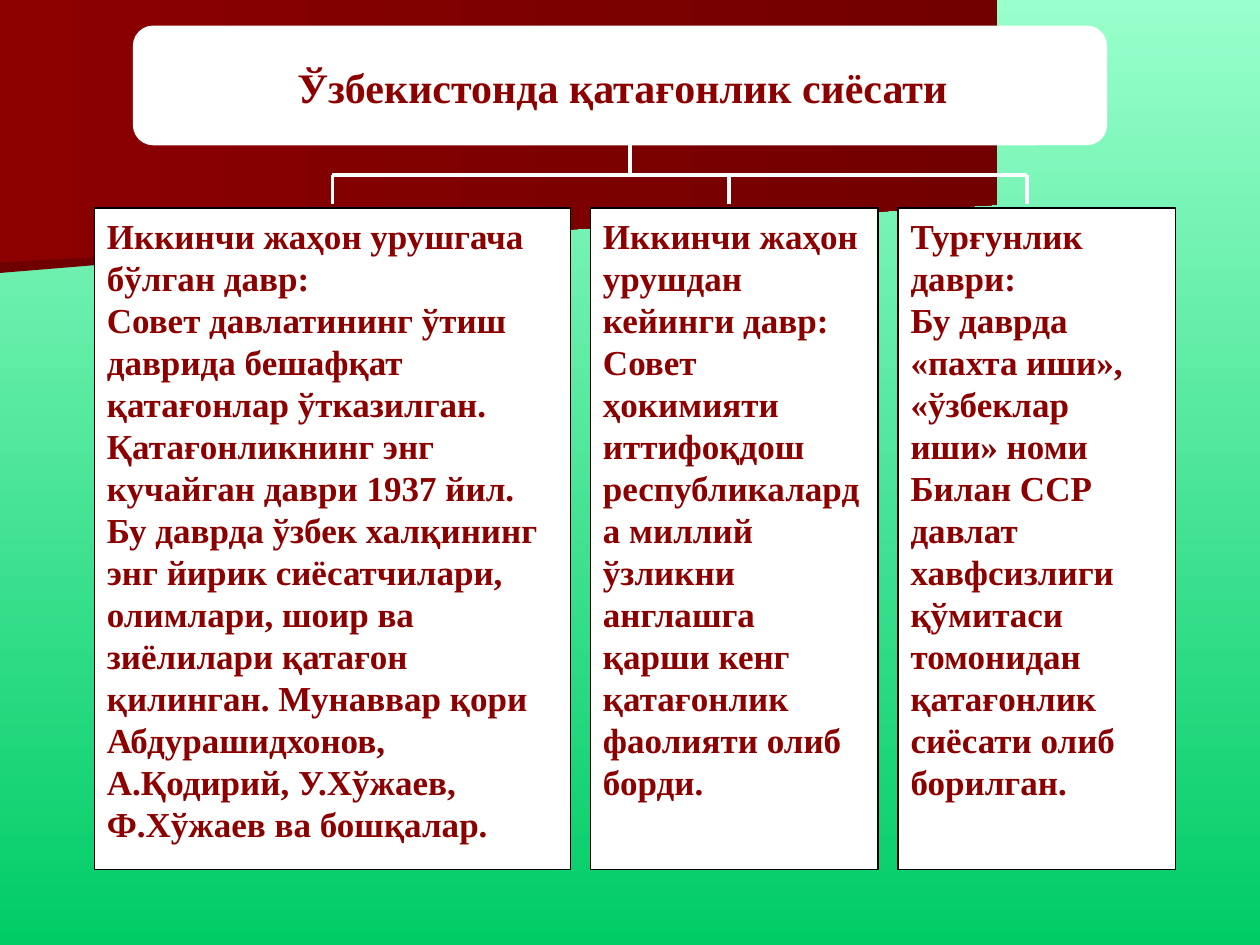
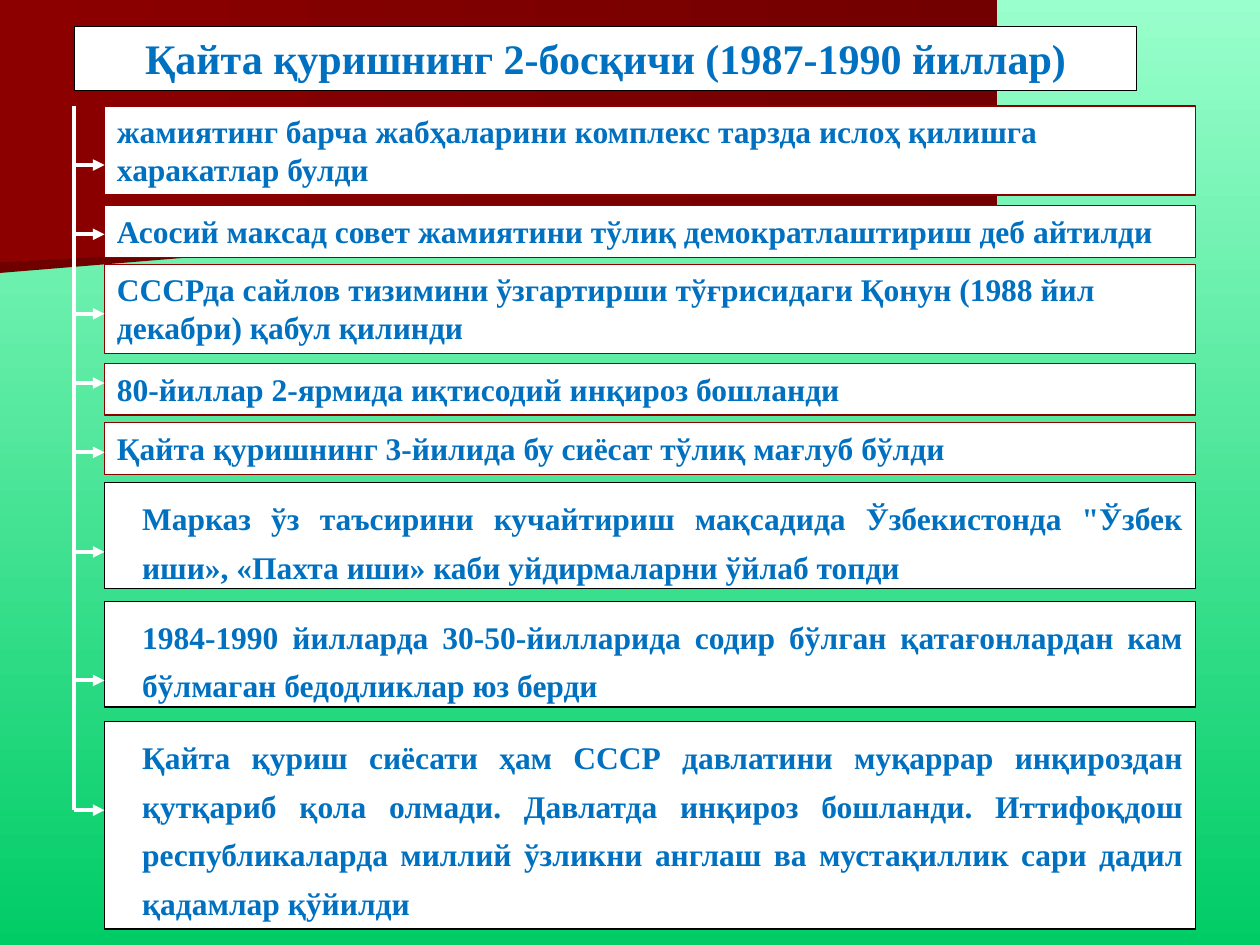
from pptx import Presentation
from pptx.dml.color import RGBColor
from pptx.enum.shapes import MSO_CONNECTOR, MSO_SHAPE
from pptx.enum.text import MSO_ANCHOR, MSO_AUTO_SIZE, PP_ALIGN
from pptx.oxml.ns import qn
from pptx.util import Pt
from lxml.etree import SubElement

FONT = "Times New Roman"
WHITE, BLACK, RED, BLUE = "FFFFFF", "000000", "8C0000", "0070C0"
MINT, GREEN, DARK, WINE = "99FFCC", "00CC66", "720000", "6F0000"
BANDS = [
    ([(560, 110), (0, 156), (0, 73), (561, 73), (560, 92)], WINE),
    ([(570, 117), (0, 150), (0, 0), (570, 0)], RED),
]


def rgb(code):
    return RGBColor.from_string(code)


def blend(fill, first, last, angle):
    fill.gradient()
    fill.gradient_angle = angle
    for stop, code in zip(fill.gradient_stops, (first, last)):
        stop.color.rgb = rgb(code)


class Deck:
    """Holds the shared style and the slide being built."""

    def __init__(self):
        self.file = Presentation()
        self.file.slide_width, self.file.slide_height = Pt(720), Pt(540)
        self.slide = None
        blend(self.file.slide_master.background.fill, MINT, GREEN, 270)

    def start(self):
        self.slide = self.file.slides.add_slide(self.file.slide_layouts[5])

    def bands(self):
        tree = self.file.slide_master.shapes.element
        for spot, (points, tint) in enumerate(BANDS, 2):
            first, *rest = [(Pt(x), Pt(y)) for x, y in points]
            pen = self.slide.shapes.build_freeform(*first)
            pen.add_line_segments(rest, close=True)
            band = pen.convert_to_shape()
            band.shadow.inherit = False
            blend(band.fill, tint, DARK, 0)
            band.line.fill.background()
            tree.insert(spot, band.element)

    def paint(self, shape, edge):
        shape.fill.solid()
        shape.fill.fore_color.rgb = rgb(WHITE)
        shape.line.color.rgb = rgb(edge)
        shape.line.width = Pt(0.75)

    def label(self, shape, lines, size, color, align=PP_ALIGN.LEFT):
        frame = shape.text_frame
        frame.word_wrap = True
        frame.auto_size = MSO_AUTO_SIZE.NONE
        frame.vertical_anchor = MSO_ANCHOR.TOP
        frame.text = "\n".join(lines)
        for para in frame.paragraphs:
            para.alignment = align
            para.font.name, para.font.size = FONT, Pt(size)
            para.font.bold = True
            para.font.color.rgb = rgb(color)

    def title(self, text, left, top, width, color, edge):
        shape = self.slide.shapes.title
        shape.left, shape.top = Pt(left), Pt(top)
        shape.width, shape.height = Pt(width), Pt(36.75)
        self.paint(shape, edge)
        self.label(shape, [text], 24, color, PP_ALIGN.CENTER)
        self.slide.shapes.element.append(shape.element)

    def box(self, left, top, width, height, edge, kind=MSO_SHAPE.RECTANGLE):
        shape = self.slide.shapes.add_shape(
            kind, Pt(left), Pt(top), Pt(width), Pt(height))
        shape.shadow.inherit = False
        self.paint(shape, edge)
        return shape

    def indent(self, shape):
        for para in shape.text_frame.paragraphs:
            para.level = 1
            para.line_spacing = 1.28
            props = para._p.get_or_add_pPr()
            props.set("marL", str(Pt(14.4)))
            props.set("indent", "0")

    def line(self, x1, y1, x2, y2, arrow=False):
        link = self.slide.shapes.add_connector(
            MSO_CONNECTOR.STRAIGHT, Pt(x1), Pt(y1), Pt(x2), Pt(y2))
        link.line.color.rgb = rgb(WHITE)
        link.line.width = Pt(2.25)
        props = link.element.spPr
        if arrow:
            SubElement(props.find(qn("a:ln")), qn("a:tailEnd"), type="triangle")
        SubElement(props, qn("a:effectLst"))


ERAS = [
    (272, 190, [
        "Иккинчи жаҳон урушгача бўлган давр:",
        "Совет давлатининг ўтиш даврида бешафқат қатағонлар ўтказилган. "
        "Қатағонликнинг энг кучайган даври 1937 йил.",
        "Бу даврда ўзбек халқининг энг йирик сиёсатчилари, олимлари, шоир ва "
        "зиёлилари қатағон қилинган. Мунаввар қори Абдурашидхонов, "
        "А.Қодирий, У.Хўжаев, Ф.Хўжаев ва бошқалар."]),
    (164.25, 416.75, [
        "Иккинчи жаҳон урушдан кейинги давр:",
        "Совет ҳокимияти иттифоқдош республикаларда миллий ўзликни англашга "
        "қарши кенг қатағонлик фаолияти олиб борди."]),
    (158.5, 587, [
        "Турғунлик даври:",
        "Бу даврда «пахта иши», «ўзбеклар иши» номи Билан ССР давлат "
        "хавфсизлиги қўмитаси томонидан қатағонлик сиёсати олиб борилган."]),
]

SHORT = [
    (60.5, 51, 94.3, "жамиятинг барча жабҳаларини комплекс тарзда ислоҳ қилишга "
     "харакатлар булди"),
    (117.6, 29.5, 133.9, "Асосий максад совет жамиятини тўлиқ демократлаштириш "
     "деб айтилди"),
    (151, 51, 179.3, "СССРда сайлов тизимини ўзгартирши тўғрисидаги Қонун "
     "(1988 йил декабри) қабул қилинди"),
    (207.6, 29.5, 218.9, "80-йиллар 2-ярмида иқтисодий инқироз бошланди"),
    (241.6, 29.5, 258.5, "Қайта қуришнинг 3-йилида бу сиёсат тўлиқ мағлуб бўлди"),
]
LONG = [
    (275.8, 60.5, 315.4, "Марказ ўз таъсирини кучайтириш мақсадида Ўзбекистонда "
     '"Ўзбек иши», «Пахта иши» каби уйдирмаларни ўйлаб топди'),
    (343.6, 60.5, 388.8, "1984-1990 йилларда 30-50-йилларида содир бўлган "
     "қатағонлардан кам бўлмаган бедодликлар юз берди"),
    (412.4, 118.5, 463, "Қайта қуриш сиёсати ҳам СССР давлатини муқаррар "
     "инқироздан қутқариб қола олмади. Давлатда инқироз бошланди. Иттифоқдош "
     "республикаларда миллий ўзликни англаш ва мустақиллик сари дадил "
     "қадамлар қўйилди"),
]


def eras(deck):
    left, gap, rail = 54, 11.5, 100
    for width, stem, lines in ERAS:
        column = deck.box(left, 118.8, width, 378, BLACK)
        deck.label(column, lines, 20, RED)
        deck.line(stem, rail, stem, 116.6)
        left += width + gap
    deck.box(76.3, 15, 556, 67.7, WHITE, MSO_SHAPE.ROUNDED_RECTANGLE)
    deck.title("Ўзбекистонда қатағонлик сиёсати", 90.7, 31.7, 530, RED, WHITE)
    deck.line(ERAS[0][1], rail, ERAS[-1][1], rail)
    deck.line(360, 82.8, 360, rail)


def steps(deck):
    spine, left = 42.5, 59.75
    deck.title("Қайта қуришнинг 2-босқичи (1987-1990 йиллар)",
               spine, 15.1, 607, BLUE, BLACK)
    deck.line(spine, SHORT[0][0], spine, LONG[-1][2])
    for rows, edge in ((SHORT, RED), (LONG, BLACK)):
        for top, height, tip, text in rows:
            shape = deck.box(left, top, 623.5, height, edge)
            wide = rows is LONG
            align = PP_ALIGN.JUSTIFY if wide else PP_ALIGN.LEFT
            deck.label(shape, [text], 18, BLUE, align)
            if wide:
                deck.indent(shape)
            deck.line(spine, tip, left, tip, arrow=True)


def main():
    deck = Deck()
    deck.start()
    deck.bands()
    eras(deck)
    deck.start()
    steps(deck)
    deck.file.save("out.pptx")


if __name__ == "__main__":
    main()
